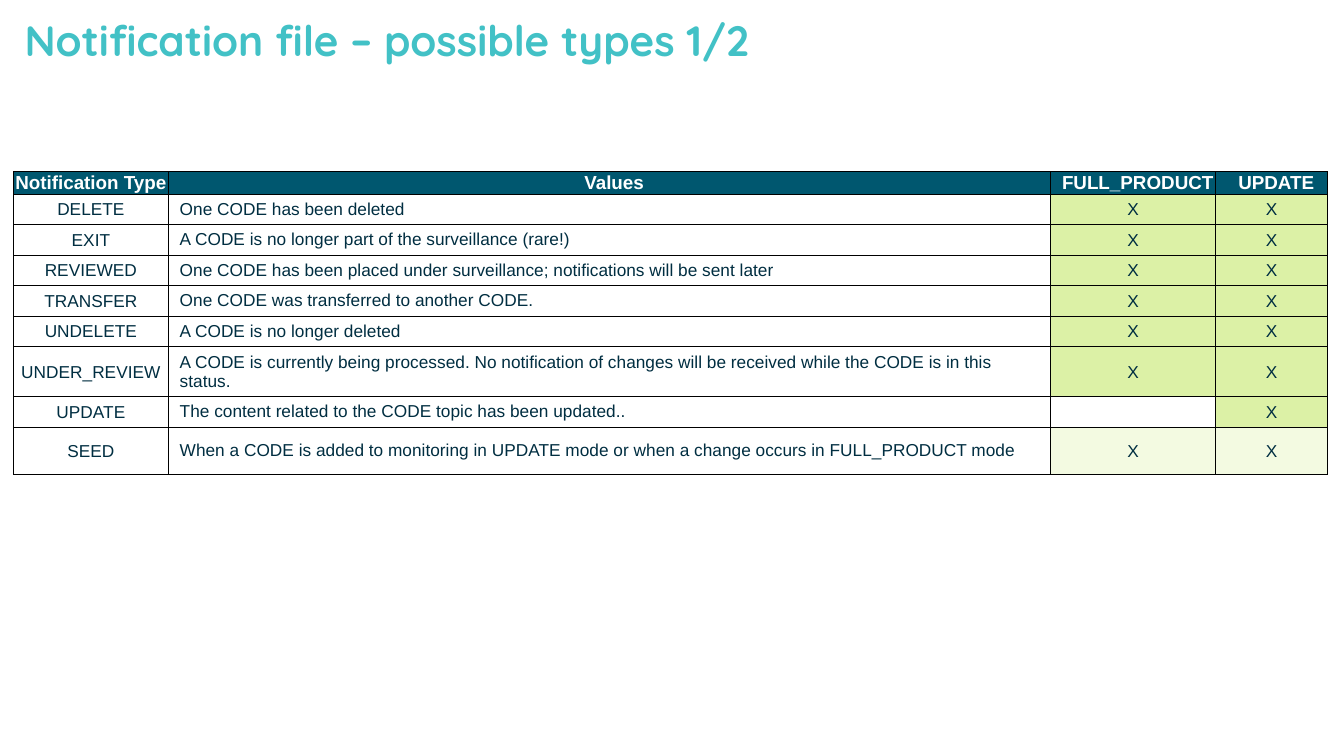
from typing import NamedTuple

from lxml import etree
from pptx import Presentation
from pptx.dml.color import RGBColor
from pptx.enum import text
from pptx.oxml import ns
from pptx.util import Pt

HUES = {
    "title": "42C1C6", "head": "00576F", "white": "FFFFFF", "ink": "002E41",
    "green": "DCF1A6", "pale": "F3FAE1", "line": "000000",
}
HEADS = ["Notification Type", "Values", "FULL_PRODUCT", "UPDATE"]
COLS = [98.8, 562.5, 105.2, 71.4]
HEAD_TALL = 12.2


class Kind(NamedTuple):
    name: str
    about: str
    full: str = "X"
    tall: float = 15.1
    hue: str = "green"


class Look(NamedTuple):
    fill: str
    ink: str = "ink"
    size: float = 11
    bold: bool = False
    left: float = 0.7
    right: float = 0.7
    top: float = 0.7
    base: float = 0
    align: text.PP_ALIGN = text.PP_ALIGN.CENTER


KINDS = [
    Kind("DELETE", "One CODE has been deleted"),
    Kind("EXIT", "A CODE is no longer part of the surveillance (rare!)"),
    Kind("REVIEWED", "One CODE has been placed under surveillance; "
         "notifications will be sent later"),
    Kind("TRANSFER", "One CODE was transferred to another CODE."),
    Kind("UNDELETE", "A CODE is no longer deleted"),
    Kind("UNDER_REVIEW", "A CODE is currently being processed. No notification of "
         "changes will be received while the CODE is in this status.", tall=30.2),
    Kind("UPDATE", "The content related to the CODE topic has been updated..", full=""),
    Kind("SEED", "When a CODE is added to monitoring in UPDATE mode or when a "
         "change occurs in FULL_PRODUCT mode", tall=30.2, hue="pale"),
]

NAME = Look("white")
ABOUT = Look("white", left=7.2, right=7.2, top=3.6, base=3.6, align=text.PP_ALIGN.LEFT)


def tint(hue: str) -> RGBColor:
    return RGBColor.from_string(HUES[hue])


def style(par, face: str, size: float, hue: str, bold: bool) -> None:
    font = par.font
    font.name, font.size, font.bold = face, Pt(size), bold
    font.color.rgb = tint(hue)


def edge(cell) -> None:
    """Draw a thin line on all four sides of a cell."""
    props = cell._tc.get_or_add_tcPr()
    for spot, side in enumerate("LRTB"):
        line = etree.Element(ns.qn(f"a:ln{side}"), w=str(Pt(0.5)))
        fill = etree.SubElement(line, ns.qn("a:solidFill"))
        etree.SubElement(fill, ns.qn("a:srgbClr"), val=HUES["line"])
        props.insert(spot, line)


def write(cell, words: str, look: Look) -> None:
    cell.fill.solid()
    cell.fill.fore_color.rgb = tint(look.fill)
    edge(cell)
    cell.margin_left, cell.margin_right = Pt(look.left), Pt(look.right)
    cell.margin_top, cell.margin_bottom = Pt(look.top), Pt(look.base)
    cell.vertical_anchor = text.MSO_ANCHOR.MIDDLE
    par = cell.text_frame.paragraphs[0]
    par.alignment = look.align
    style(par, "Arial", look.size, look.ink, look.bold)
    if words:
        par.add_run().text = words
    else:  # keeps an empty cell from stretching its row
        etree.SubElement(par._p, ns.qn("a:endParaRPr"), sz=str(look.size * 100))


def add_title(slide) -> None:
    box = slide.shapes.add_textbox(Pt(8.6), Pt(7.9), Pt(527.8), Pt(43.2))
    frame = box.text_frame
    frame.word_wrap = True
    frame.margin_left = frame.margin_right = Pt(7.2)
    frame.margin_top = frame.margin_bottom = Pt(7.2)
    par = frame.paragraphs[0]
    par.text = "Notification file – possible types 1/2"
    par.line_spacing = 0.8
    style(par, "Quicksand", 27, "title", True)


def add_grid(slide) -> None:
    grid = slide.shapes.add_table(
        len(KINDS) + 1, len(COLS), Pt(8.6), Pt(109.4), Pt(sum(COLS)), Pt(200.9)).table
    grid.horz_banding = False
    for col, wide in zip(grid.columns, COLS):
        col.width = Pt(wide)
    for row, tall in zip(grid.rows, [HEAD_TALL] + [kind.tall for kind in KINDS]):
        row.height = Pt(tall)
    for spot, head in enumerate(HEADS):
        left = 6.5 if spot else 0.7
        write(grid.cell(0, spot), head, Look("head", "white", 12, True, left))
    for row, kind in enumerate(KINDS, 1):
        write(grid.cell(row, 0), kind.name, NAME)
        write(grid.cell(row, 1), kind.about, ABOUT)
        for col, mark in enumerate((kind.full, "X"), 2):
            write(grid.cell(row, col), mark, Look(kind.hue if mark else "white"))


def main() -> None:
    deck = Presentation()
    deck.slide_width, deck.slide_height = Pt(856.8), Pt(481.7)
    slide = deck.slides.add_slide(deck.slide_layouts[6])
    add_grid(slide)
    add_title(slide)
    deck.save("out.pptx")


if __name__ == "__main__":
    main()
